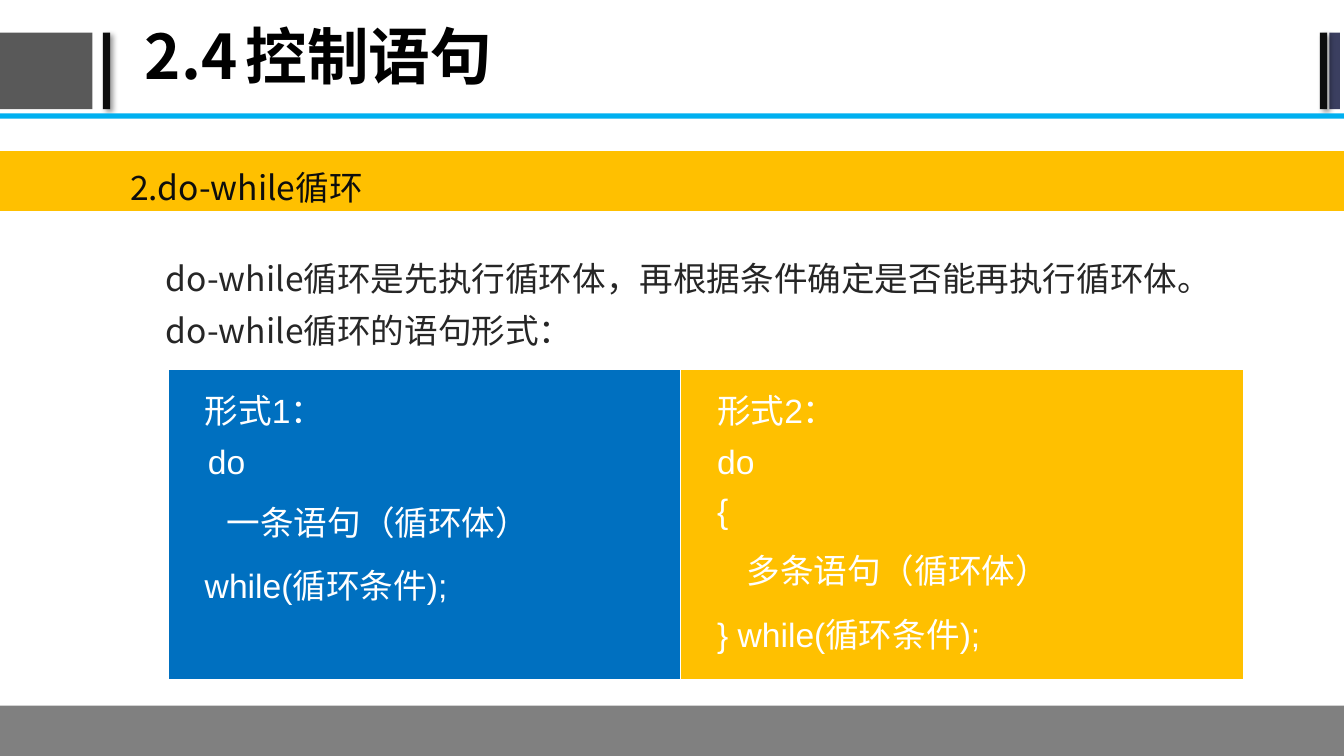
from lxml import etree
from pptx import Presentation
from pptx.dml.color import RGBColor
from pptx.enum.shapes import MSO_SHAPE as SHAPE
from pptx.enum.text import MSO_ANCHOR as ANCHOR
from pptx.oxml.ns import qn
from pptx.util import Pt

PX = 9525
CJK = "Noto Sans CJK SC"
WHITE = "FFFFFF"
AMBER = "FFC000"


def px(n):
    return n * PX


def rgb(value):
    return RGBColor.from_string(value)


def sub(parent, tag, **attrs):
    return etree.SubElement(parent, qn(tag), {k: str(v) for k, v in attrs.items()})


def add_rect(slide, x, y, w, h, fill, shadow=False):
    sp = slide.shapes.add_shape(SHAPE.RECTANGLE, px(x), px(y), px(w), px(h))
    sp.shadow.inherit = False
    sp.fill.solid()
    sp.fill.fore_color.rgb = rgb(fill)
    sp.line.fill.background()
    if shadow:
        effects = sp._element.spPr.find(qn("a:effectLst"))
        outer = sub(effects, "a:outerShdw", blurRad=Pt(4), dist=Pt(3),
                    dir=45 * 60000, algn="tl", rotWithShape=0)
        color = sub(outer, "a:srgbClr", val="000000")
        sub(color, "a:alpha", val=40000)


def write(tf, lines, size=24, font=CJK, color=WHITE, bold=False, spacing=1.3,
          tab=None):
    for i, (text, indent) in enumerate(lines):
        p = tf.paragraphs[0] if i == 0 else tf.add_paragraph()
        pPr = p._p.get_or_add_pPr()
        pPr.set("marL", "0")
        pPr.set("indent", str(px(indent)))
        p.line_spacing = spacing
        if tab:
            sub(sub(pPr, "a:tabLst"), "a:tab", pos=px(tab), algn="l")
        r = p.add_run()
        r.text = text
        r.font.size = Pt(size)
        r.font.bold = bold
        r.font.name = font
        r.font.color.rgb = rgb(color)
        sub(r._r.get_or_add_rPr(), "a:ea", typeface=CJK)


def add_text(slide, x, y, w, h, lines, inset=(12, 7), anchor=ANCHOR.TOP, **fmt):
    tf = slide.shapes.add_textbox(px(x), px(y), px(w), px(h)).text_frame
    tf.word_wrap = True
    tf.vertical_anchor = anchor
    tf.margin_left = tf.margin_right = px(inset[0])
    tf.margin_top = tf.margin_bottom = px(inset[1])
    write(tf, lines, **fmt)


def add_borders(cell):
    tcPr = cell._tc.get_or_add_tcPr()
    for i, (side, width) in enumerate(zip("LRTB", (1, 1, 1, 3))):
        ln = etree.Element(qn(f"a:ln{side}"), w=str(Pt(width)))
        sub(sub(ln, "a:solidFill"), "a:srgbClr", val=WHITE)
        tcPr.insert(i, ln)


def add_forms_table(slide, x, y, h, columns):
    total = sum(w for w, _, _ in columns)
    table = slide.shapes.add_table(1, len(columns), px(x), px(y),
                                   px(total), px(h)).table
    table.first_row = table.horz_banding = False
    table.rows[0].height = px(h)
    for i, (w, fill, lines) in enumerate(columns):
        table.columns[i].width = px(w)
        cell = table.cell(0, i)
        cell.fill.solid()
        cell.fill.fore_color.rgb = rgb(fill)
        cell.margin_left = cell.margin_right = px(7)
        cell.margin_top = cell.margin_bottom = 0
        write(cell.text_frame, lines, font="Arial")
        add_borders(cell)


def main():
    prs = Presentation()
    prs.slide_width, prs.slide_height = px(1280), px(720)
    s = prs.slides.add_slide(prs.slide_layouts[6])

    add_rect(s, 0, 31, 88, 73, "595959")
    add_rect(s, 98, 31, 7, 73, "0D0D0D", shadow=True)
    add_rect(s, 1266, 31, 10, 73, "3B3F60")
    add_rect(s, 1257, 31, 7, 73, "0D0D0D", shadow=True)
    add_text(s, 128, 0, 1080, 113, [("2.4\t控制语句", 0)], inset=(10, 5),
             anchor=ANCHOR.MIDDLE, size=44, color="000000", bold=True,
             spacing=0.9, tab=127)
    add_rect(s, 0, 108, 1280, 5, "00B0F0")

    add_text(s, 70, 227, 1106, 325, [
        ("do-while循环是先执行循环体，再根据条件确定是否能再执行循环体。", 76),
        ("do-while循环的语句形式：", 76),
    ], color="262626")
    add_rect(s, 0, 144, 1280, 57, AMBER)
    add_text(s, 112, 144, 978, 56, [("2.do-while循环", 0)],
             color="0D0D0D", spacing=1.2)
    add_rect(s, 0, 672, 1280, 48, "808080")

    add_forms_table(s, 160, 352, 296, [
        (488, "0070C0", [("形式1：", 28), ("do", 31),
                         ("一条语句（循环体）", 49), ("while(循环条件);", 28)]),
        (536, AMBER, [("形式2：", 28), ("do", 28), ("{", 28),
                      ("多条语句（循环体）", 56), ("} while(循环条件);", 28)]),
    ])
    prs.save("out.pptx")


if __name__ == "__main__":
    main()
